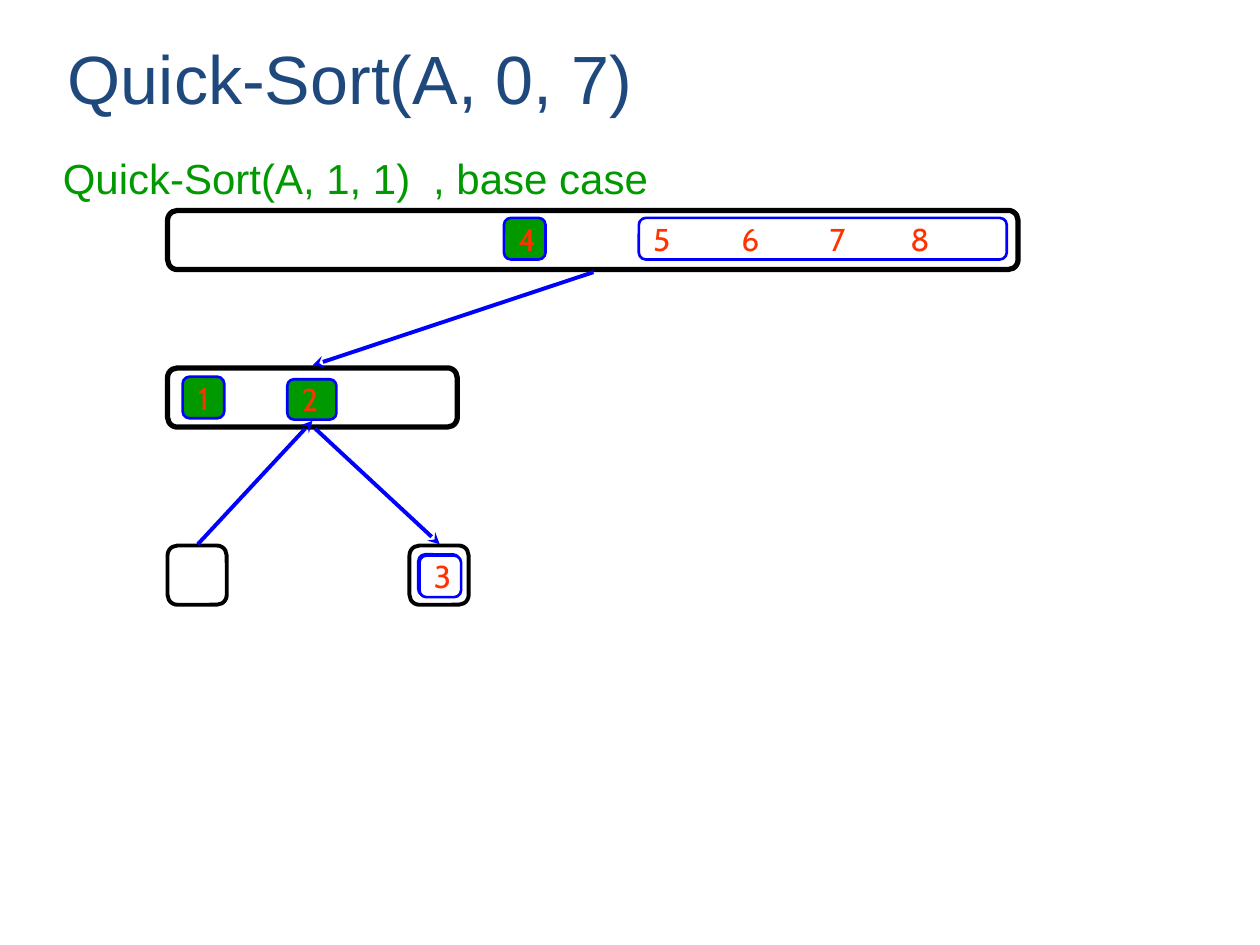
from lxml import etree
from pptx import Presentation
from pptx.dml.color import RGBColor
from pptx.enum.shapes import MSO_CONNECTOR, MSO_SHAPE
from pptx.enum.text import MSO_ANCHOR, PP_ALIGN
from pptx.oxml.ns import qn
from pptx.util import Inches, Pt

ROUNDED = MSO_SHAPE.ROUNDED_RECTANGLE
STRAIGHT = MSO_CONNECTOR.STRAIGHT
TOP, MIDDLE, BOTTOM = MSO_ANCHOR.TOP, MSO_ANCHOR.MIDDLE, MSO_ANCHOR.BOTTOM
LEFT, CENTER = PP_ALIGN.LEFT, PP_ALIGN.CENTER

BLACK, BLUE, WHITE = "000000", "0000FF", "FFFFFF"
GREEN, RED, NAVY = "009900", "FF3300", "1F497D"
ARRAY_LEFT = 1.33
NODE_SIZE, CELL_SIZE = 0.47, 0.33


def color(hex_code):
    return RGBColor.from_string(hex_code)


def write_text(shape, text, font_name, size, hex_code, anchor, align=LEFT, tabs=()):
    frame = shape.text_frame
    frame.word_wrap = True
    frame.vertical_anchor = anchor
    para = frame.paragraphs[0]
    para.text = text
    para.alignment = align
    if tabs:
        tab_list = etree.SubElement(para._p.get_or_add_pPr(), qn("a:tabLst"))
        for stop in tabs:
            etree.SubElement(tab_list, qn("a:tab"), pos=str(Inches(stop)), algn="l")
    para.font.name = font_name
    para.font.size = Pt(size)
    para.font.color.rgb = color(hex_code)


def add_label(page, box, text, size, hex_code, anchor=TOP):
    label = page.shapes.add_textbox(*map(Inches, box))
    write_text(label, text, "Arial", size, hex_code, anchor)


def add_frame(page, box, line_color, line_width, fill=None):
    frame = page.shapes.add_shape(ROUNDED, *map(Inches, box))
    frame.shadow.inherit = False
    if fill:
        frame.fill.solid()
        frame.fill.fore_color.rgb = color(fill)
    else:
        frame.fill.background()
    frame.line.color.rgb = color(line_color)
    frame.line.width = Pt(line_width)
    return frame


def add_cell(page, box, text, fill=None, align=CENTER, tabs=()):
    cell = add_frame(page, box, BLUE, 1.5, fill)
    write_text(cell, text, "Cabin", 18, RED, MIDDLE, align, tabs)


def add_arrow(page, start, end):
    """Draw a blue line whose arrowhead is at end."""
    arrow = page.shapes.add_connector(STRAIGHT, *map(Inches, (*start, *end)))
    arrow.line.color.rgb = color(BLUE)
    arrow.line.width = Pt(2.25)
    etree.SubElement(arrow.line._get_or_add_ln(), qn("a:tailEnd"), type="stealth")
    etree.SubElement(arrow._element.spPr, qn("a:effectLst"))


def add_whole_array(page, left, top, width, height):
    add_frame(page, (left, top, width, height), BLACK, 3)
    cell_top = top + 0.06
    add_cell(page, (left + 3.74, cell_top, 2.92, CELL_SIZE), "5\t6\t7\t8",
             align=LEFT, tabs=(0.7, 1.4, 2.04))
    add_cell(page, (left + 2.67, cell_top, CELL_SIZE, CELL_SIZE), "4", GREEN)


def add_left_part(page, left, top, width, height):
    add_frame(page, (left, top, width, height), BLACK, 3)
    add_cell(page, (left + 0.95, top + 0.09, 0.39, 0.32), "2", GREEN, LEFT)
    add_cell(page, (left + 0.12, top + 0.07, CELL_SIZE, CELL_SIZE), "1", GREEN)


def add_leaf(page, left, top, text=None):
    add_frame(page, (left, top, NODE_SIZE, NODE_SIZE), BLACK, 2.25)
    if text:
        for inset, fill in ((0.07, None), (0.08, WHITE)):
            box = (left + inset, top + inset, CELL_SIZE, CELL_SIZE)
            add_cell(page, box, text, fill)


def main():
    deck = Presentation()
    deck.slide_width, deck.slide_height = Inches(10), Inches(7.5)
    page = deck.slides.add_slide(deck.slide_layouts[6])

    add_whole_array(page, ARRAY_LEFT, 1.67, 6.75, NODE_SIZE)
    add_left_part(page, ARRAY_LEFT, 2.92, 2.3, NODE_SIZE)
    add_leaf(page, ARRAY_LEFT, 4.33)
    add_leaf(page, 3.25, 4.33, "3")

    add_arrow(page, (4.71, 2.16), (2.48, 2.9))
    add_arrow(page, (1.57, 4.32), (2.48, 3.34))
    add_arrow(page, (2.5, 3.4), (3.49, 4.32))

    add_label(page, (0.44, 0.35, 8.25, 0.64), "Quick-Sort(A, 0, 7)", 39, NAVY, BOTTOM)
    add_label(page, (0.4, 1.16, 3.17, 0.5), "Quick-Sort(A, 1, 1)", 24, GREEN)
    add_label(page, (3.34, 1.16, 2.44, 0.5), ", base case", 24, GREEN)

    deck.save("out.pptx")


if __name__ == "__main__":
    main()
